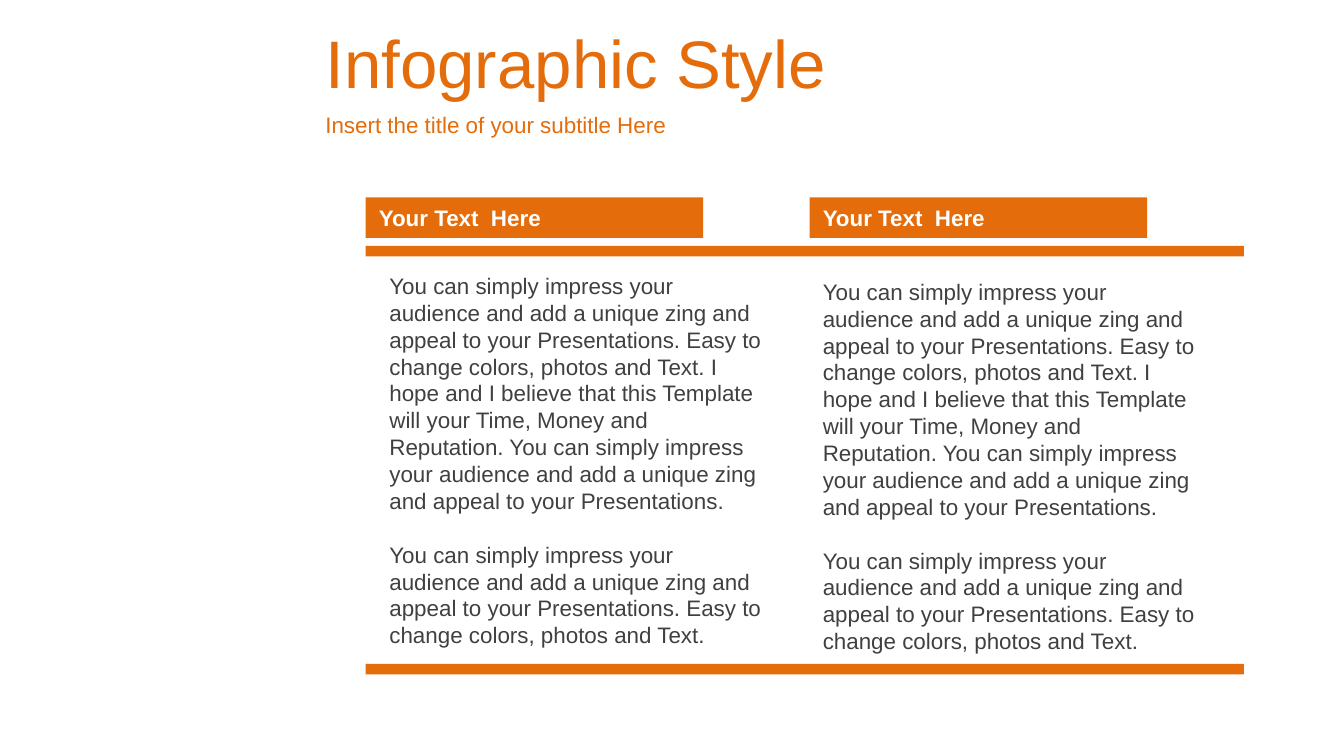
from pptx import Presentation
from pptx.dml.color import RGBColor
from pptx.enum.shapes import MSO_SHAPE
from pptx.enum.text import MSO_ANCHOR, MSO_AUTO_SIZE, PP_ALIGN
from pptx.util import Cm, Pt

COLORS = {"accent": "E46C0A", "body": "404040", "white": "FFFFFF"}

INTRO = "You can simply impress your audience and add a unique zing and appeal to your Presentations."
EASY = "Easy to change colors, photos and Text."
HOPE = "I hope and I believe that this Template will your Time, Money and Reputation."
BODY = [f"{INTRO} {EASY} {HOPE} {INTRO}", f"{INTRO} {EASY}"]


def write(shape, texts, size, color, gap=0, bold=False, anchor=MSO_ANCHOR.MIDDLE):
    frame = shape.text_frame
    frame.word_wrap = True
    frame.auto_size = MSO_AUTO_SIZE.NONE
    frame.vertical_anchor = anchor
    frame.text = "\n".join(texts)
    for para in frame.paragraphs:
        para.alignment = PP_ALIGN.LEFT
        para.space_before = Pt(gap)
        para.font.name = "Arial"
        para.font.size = Pt(size)
        para.font.bold = bold
        para.font.color.rgb = RGBColor.from_string(COLORS[color])


def add_bar(left, top, width, height):
    bar = slide.shapes.add_shape(
        MSO_SHAPE.RECTANGLE, Cm(left), Cm(top), Cm(width), Cm(height))
    bar.shadow.inherit = False
    bar.fill.solid()
    bar.fill.fore_color.rgb = RGBColor.from_string(COLORS["accent"])
    bar.line.fill.background()
    return bar


deck = Presentation()
deck.slide_width, deck.slide_height = Cm(25.4), Cm(14.29)
slide = deck.slides.add_slide(deck.slide_layouts[5])

# Title and subtitle
title = slide.shapes.title
title.left, title.top, title.width, title.height = Cm(5.9), Cm(0.36), Cm(19.5), Cm(1.6)
write(title, ["Infographic Style"], 36, "accent", gap=7.2)
sub = slide.shapes.add_textbox(Cm(5.9), Cm(1.96), Cm(19.5), Cm(0.79))
write(sub, ["Insert the title of your subtitle Here"], 12, "accent", gap=2.4)

# Rules above and below the columns
for top in (4.65, 12.55):
    add_bar(6.91, top, 16.6, 0.2)

# Columns: header left, text left, text top, text anchor
for left, inner, top, anchor in (
    (6.91, 7.11, 4.98, MSO_ANCHOR.MIDDLE),
    (15.3, 15.3, 5.13, MSO_ANCHOR.TOP),
):
    head = add_bar(left, 3.73, 6.38, 0.77)
    write(head, ["Your Text  Here"], 12, "white", bold=True)
    box = slide.shapes.add_textbox(Cm(inner), Cm(top), Cm(7.6), Cm(7.44))
    write(box, BODY, 12, "body", anchor=anchor)
    box.text_frame.paragraphs[1].space_before = Pt(14.4)

deck.save("out.pptx")
